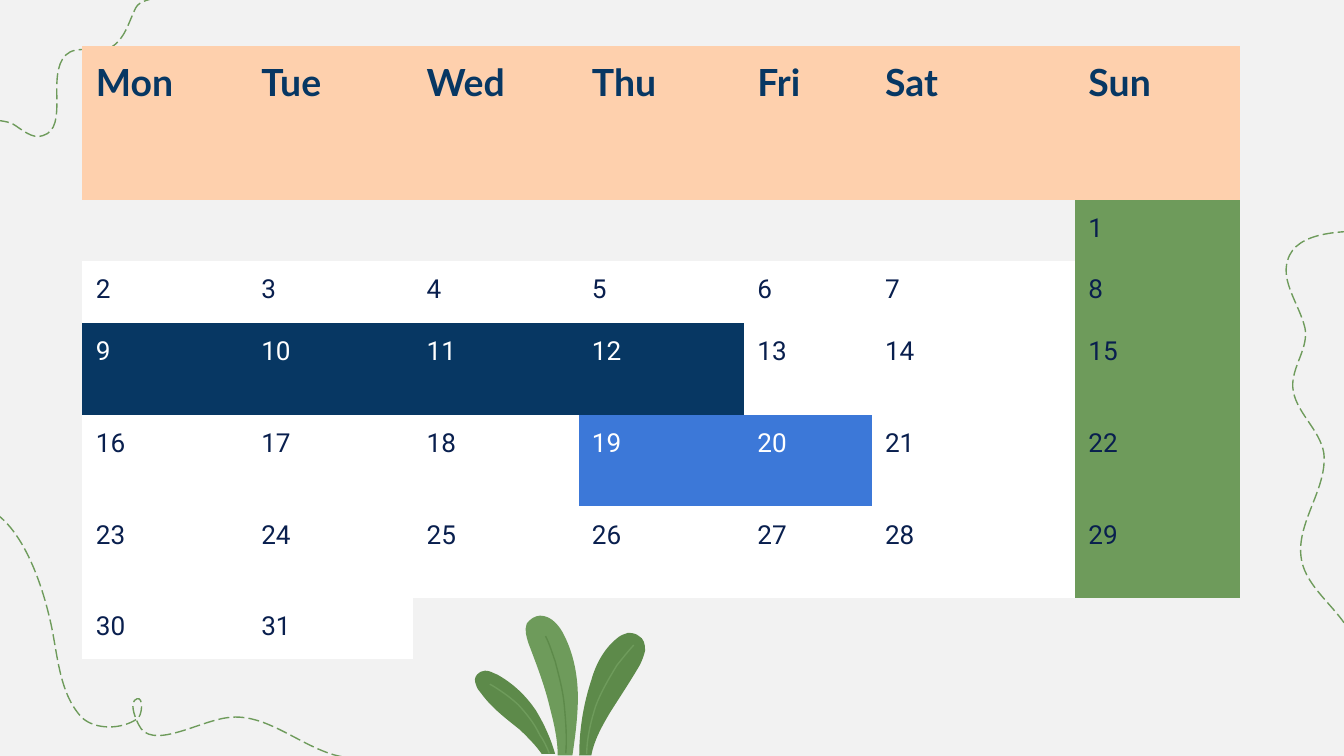
from pptx import Presentation
from pptx.dml.color import RGBColor
from pptx.enum.dml import MSO_LINE
from pptx.oxml.ns import qn
from pptx.util import Pt

COLORS = {
    "bg": "F2F2F2", "header": "FED0AD", "navy": "073763", "ink": "091F4E",
    "white": "FFFFFF", "green": "6E9B5B", "leaf": "5D8A4A", "blue": "3C78D8",
}


def rgb(name):
    return RGBColor.from_string(COLORS[name])


def add_curve(shapes, start, segments, fill=None, line=None, dash=None):
    points = [(Pt(x), Pt(y)) for seg in segments for x, y in zip(seg[::2], seg[1::2])]
    fb = shapes.build_freeform(Pt(start[0]), Pt(start[1]), scale=1.0)
    fb.add_line_segments(points, close=fill is not None)
    sp = fb.convert_to_shape()
    steps = iter(list(sp._element.iter(qn("a:lnTo"))))
    for seg in segments:
        step = next(steps)
        if len(seg) == 6:
            step.tag = qn("a:cubicBezTo")
            for extra in (next(steps), next(steps)):
                step.append(extra[0])
                extra.getparent().remove(extra)
    sp.shadow.inherit = False
    for fmt, color in ((sp.fill, fill), (sp.line.fill, line)):
        if color:
            fmt.solid()
            fmt.fore_color.rgb = rgb(color)
        else:
            fmt.background()
    if line:
        sp.line.width = Pt(0.75)
        sp.line.dash_style = dash


prs = Presentation()
prs.slide_width, prs.slide_height = Pt(720), Pt(405)
s = prs.slides.add_slide(prs.slide_layouts[6])
s.background.fill.solid()
s.background.fill.fore_color.rgb = rgb("bg")

dashed_trails = [
    ((-17.3, 64.8), [
        (-9.4, 64.8, -0.7, 63.4, 6.5, 66.2), (11.5, 69.1, 17.3, 74.9, 23, 72.7),
        (37.4, 68.4, 24.5, 40.3, 35.3, 29.5), (41, 23.8, 52.6, 28.8, 59.8, 25.2),
        (67, 20.9, 69.1, 11.5, 72.7, 4.3), (74.9, 0, 81.4, 0, 85.7, -2.2)]),
    ((-17.3, 270), [
        (7.2, 270, 20.9, 306.7, 26.6, 331.2), (31, 349.2, 31, 370.8, 43.9, 384.5),
        (51.1, 391, 64.8, 391, 73.4, 385.2), (76.3, 383.8, 77, 373, 73.4, 374.4),
        (69.1, 375.8, 72, 383.8, 74.2, 388.1), (80.6, 402.5, 105.8, 386.6, 121.7, 384.5),
        (145.4, 380.9, 166.3, 406.1, 190.1, 406.1)]),
    ((738.7, 123.8), [
        (721.4, 123.8, 694.1, 123.1, 689.8, 139.7), (686.2, 151.2, 696.2, 163.4, 699.1, 175.7),
        (701.3, 186.5, 691.9, 196.6, 692.6, 207.4), (693.4, 220.3, 707, 229.7, 709.2, 242.6),
        (711.4, 261.4, 694.8, 279.4, 697, 298.1), (698.4, 311.8, 711.4, 321.8, 719.3, 332.6),
        (727.2, 343.4, 727.9, 358.6, 737.3, 367.9)]),
]
leaves = [
    ("green", (289.4, 329.8), [
        (292.3, 329.8, 295.2, 331.2, 297.4, 333.4), (299.5, 335.5, 301, 337.7, 302.4, 340.6),
        (307.4, 350.6, 309.6, 362.2, 309.6, 373.7), (309.6, 383.8, 308.2, 394.6, 306.7, 404.6),
        (298.8, 404.6), (298.8, 396, 296.6, 386.6, 294.5, 378.7),
        (291.6, 366.5, 287.3, 355.7, 283, 344.2), (282.2, 341.3, 280.8, 337.7, 282.2, 334.1),
        (283.7, 331.9, 286.6, 329.8, 289.4, 329.8)]),
    ("leaf", (259.9, 359.3), [
        (262.8, 359.3, 264.2, 360.7, 266.4, 361.4), (274.3, 365.8, 281.5, 372.2, 287.3, 380.9),
        (291.6, 388.1, 295.2, 396, 297.4, 403.9), (290.2, 403.9),
        (287.3, 399.6, 283, 395.3, 278.6, 391), (271.4, 385.2, 263.5, 379.4, 257.8, 371.5),
        (256.3, 370.1, 255.6, 368.6, 254.9, 366.5), (254.2, 365, 254.2, 362.9, 255.6, 361.4),
        (257, 360, 258.5, 359.3, 259.9, 359.3)]),
    ("leaf", (337.7, 339.1), [
        (339.1, 339.1, 341.3, 339.8, 342, 340.6), (344.9, 342, 345.6, 344.9, 345.6, 348.5),
        (344.9, 351.4, 344.2, 353.5, 342.7, 356.4), (337.7, 365, 331.9, 373.7, 326.9, 381.6),
        (322.6, 388.8, 318.2, 396.7, 316.8, 404.6), (310.3, 404.6),
        (310.3, 391, 312.5, 377.3, 316.8, 364.3), (319, 356.4, 323.3, 347.8, 330.5, 342),
        (331.9, 340.6, 334.1, 339.8, 336.2, 339.1)]),
]
veins = [
    ("leaf", (292.3, 340.8), [
        (294.5, 345.2, 295.9, 350, 297.4, 354.2), (299.5, 362.2, 301.7, 370.1, 302.4, 378.7),
        (303.1, 386.6, 303.8, 395.3, 303.1, 403.6)]),
    ("green", (339.5, 345.6), [
        (336.2, 349.2, 333.4, 352.8, 330.5, 356.4), (326.2, 363.6, 321.8, 370.8, 319, 378.7),
        (316.4, 387, 314.4, 395.3, 314.3, 403.9)]),
    ("green", (262.4, 366.5), [
        (267.8, 369.6, 273.4, 373.6, 277.7, 377.6), (282, 382.3, 286.2, 387.4, 289.1, 393.6),
        (291.2, 396.5, 293, 400.3, 294.3, 403.6)]),
]
for start, segments in dashed_trails:
    add_curve(s.shapes, start, segments, line="green", dash=MSO_LINE.LONG_DASH)
for color, start, segments in leaves:
    add_curve(s.shapes, start, segments, fill=color)
for color, start, segments in veins:
    add_curve(s.shapes, start, segments, line=color)

weekdays = ["Mon", "Tue", "Wed", "Thu", "Fri", "Sat", "Sun"]
widths = [88.6, 88.6, 88.6, 88.6, 68.4, 109, 88.6]
heights = [82.6, 32.7, 33, 49.3, 49.1, 49.1, 32.7]
highlights = {**dict.fromkeys(range(9, 13), "navy"), **dict.fromkeys((19, 20), "blue")}

tb = s.shapes.add_table(7, 7, Pt(44.2), Pt(24.6), Pt(sum(widths)), Pt(sum(heights))).table
tb.first_row = tb.horz_banding = False
style = tb._tbl.tblPr.find(qn("a:tableStyleId"))
style.text = "{2D5ABB26-0587-4C30-8999-92F81FD0307C}"
for i, width in enumerate(widths):
    tb.columns[i].width = Pt(width)
for j, height in enumerate(heights):
    tb.rows[j].height = Pt(height)
    for i, weekday in enumerate(weekdays):
        cell = tb.cell(j, i)
        day = 7 * (j - 1) + i - 5
        shown = j == 0 or 1 <= day <= 31
        for side in ("left", "right", "top", "bottom"):
            setattr(cell, f"margin_{side}", Pt(7.2 if shown else 0))
        if not shown:
            cell.fill.background()
            continue
        if j == 0:
            text, fill, ink = weekday, "header", "navy"
            font = {"name": "Lato", "size": Pt(20), "bold": True}
        else:
            text = str(day)
            fill = highlights.get(day, "green" if weekday == "Sun" else "white")
            ink = "white" if day in highlights else "ink"
            font = {"name": "Roboto", "size": Pt(14), "bold": False}
        cell.fill.solid()
        cell.fill.fore_color.rgb = rgb(fill)
        r = cell.text_frame.paragraphs[0].add_run()
        r.text = text
        for key, value in font.items():
            setattr(r.font, key, value)
        r.font.color.rgb = rgb(ink)

prs.save("out.pptx")
